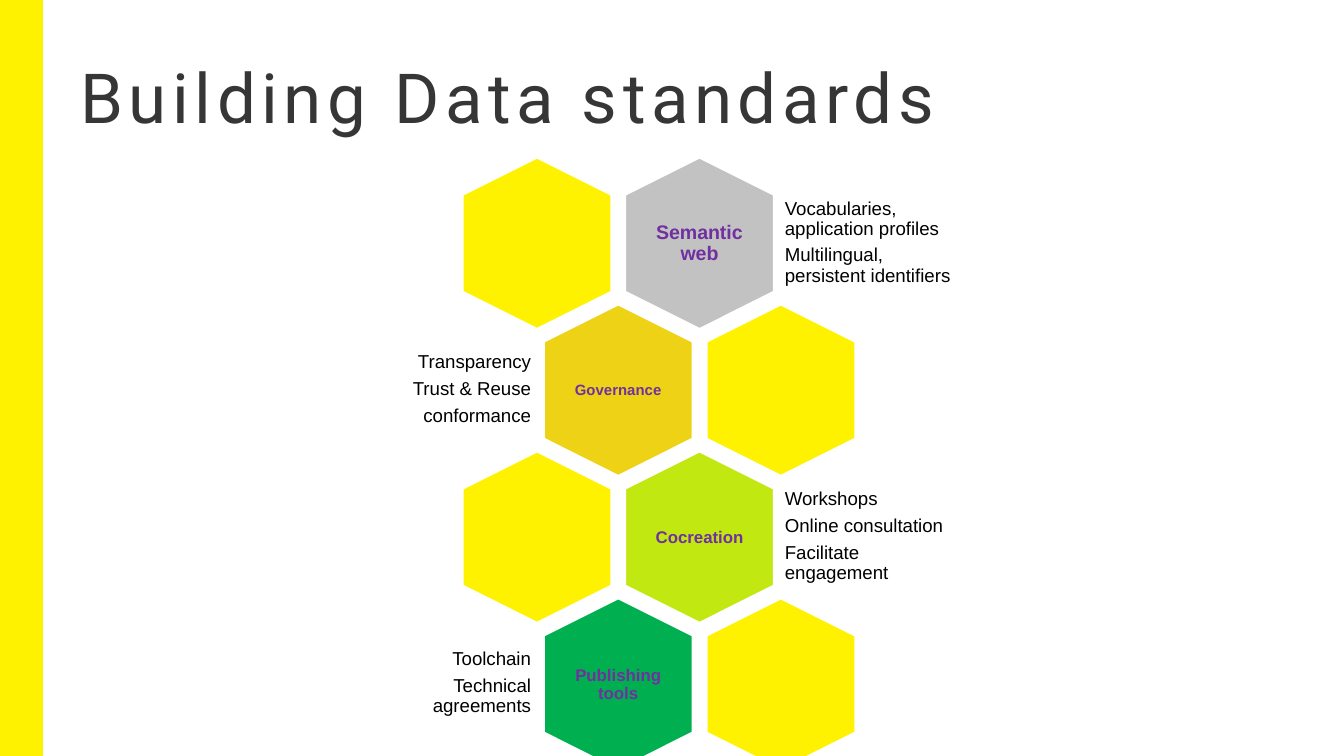
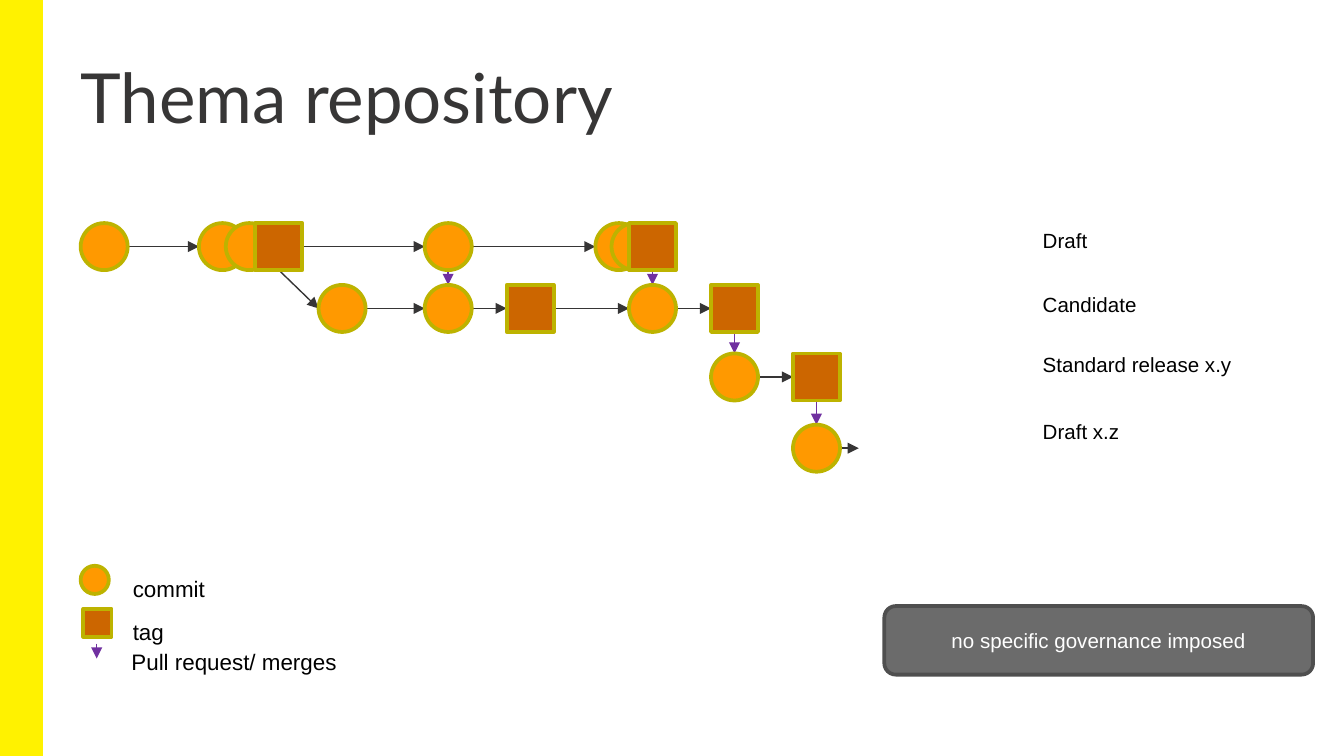
from lxml import etree
from pptx import Presentation
from pptx.dml.color import RGBColor
from pptx.enum.shapes import MSO_CONNECTOR, MSO_SHAPE
from pptx.enum.text import MSO_ANCHOR, PP_ALIGN
from pptx.oxml.ns import qn
from pptx.util import Inches, Pt

RECT, ROUND = MSO_SHAPE.RECTANGLE, MSO_SHAPE.ROUNDED_RECTANGLE
OVAL, HEXAGON = MSO_SHAPE.OVAL, MSO_SHAPE.HEXAGON
LEFT, CENTER, RIGHT = PP_ALIGN.LEFT, PP_ALIGN.CENTER, PP_ALIGN.RIGHT
TOP, MIDDLE = MSO_ANCHOR.TOP, MSO_ANCHOR.MIDDLE

WIDTH = 10
HEIGHT = WIDTH * 9 / 16
YELLOW, WHITE, BLACK, INK = "FFF200", "FFFFFF", "000000", "363535"
TITLE_COLOR, PURPLE, OUTLINE = "373636", "7030A0", "BDB300"
COMMIT, TAG = (OVAL, "FF9900"), (RECT, "CC6600")

PILLARS = [
    ("Semantic web", 10.5, "C2C2C2",
     ["Vocabularies, application profiles", "Multilingual, persistent identifiers"]),
    ("Governance", 8, "EED216",
     ["Transparency", "Trust & Reuse", "conformance"]),
    ("Cocreation", 9, "C2E812",
     ["Workshops", "Online consultation", "Facilitate engagement"]),
    ("Publishing tools", 9, "00B050",
     ["Toolchain", "Technical agreements"]),
]
HEX_LONG, HEX_SHORT = 1.29, 1.12
HEX_LEFT, HEX_TOP, HEX_LAST_TOP = 3.35, 1.25, 4.53
HEX_STEP = 1.21
ROW_STEP = (HEX_LAST_TOP - HEX_TOP) / (len(PILLARS) - 1)

LANES = [
    ("Draft", 1.66, 1.65),
    ("Candidate", 2.12, 2.12),
    ("Standard release x.y", 2.63, 2.57),
    ("Draft x.z", 3.16, 3.07),
]
NODE = 0.35
NODES = {
    "start": (COMMIT, 0.6, 0),
    "edit": (COMMIT, 1.48, 0),
    "second edit": (COMMIT, 1.68, 0),
    "draft tag": (TAG, 1.9, 0),
    "candidate": (COMMIT, 2.37, 1),
    "fix": (COMMIT, 3.16, 0),
    "merged fix": (COMMIT, 3.16, 1),
    "candidate tag": (TAG, 3.77, 1),
    "late edit": (COMMIT, 4.43, 0),
    "last edit": (COMMIT, 4.55, 0),
    "late tag": (TAG, 4.68, 0),
    "merged late": (COMMIT, 4.68, 1),
    "final tag": (TAG, 5.29, 1),
    "release": (COMMIT, 5.29, 2),
    "release tag": (TAG, 5.9, 2),
    "next draft": (COMMIT, 5.9, 3),
}
STEPS = [
    ("start", "edit"), ("draft tag", "fix"), ("candidate", "merged fix"),
    ("merged fix", "candidate tag"), ("fix", "late edit"),
    ("candidate tag", "merged late"), ("merged late", "final tag"),
    ("release", "release tag"),
]
MERGES = [
    ("fix", "merged fix"), ("late tag", "merged late"),
    ("final tag", "release"), ("release tag", "next draft"),
]
LEGEND = [
    ("commit", 0.89, 4.23, 0.74),
    ("tag", 0.89, 4.55, 0.44),
    ("Pull request/ merges", 0.88, 4.77, 1.74),
]


def color(value):
    return RGBColor.from_string(value)


def add_block(slide, kind, box, fill, line, weight):
    block = slide.shapes.add_shape(kind, *map(Inches, box))
    block.shadow.inherit = False
    block.fill.solid()
    block.fill.fore_color.rgb = color(fill)
    block.line.color.rgb = color(line)
    block.line.width = Pt(weight)
    return block


def write(holder, lines, size, ink=BLACK, face="Arial", align=LEFT, anchor=TOP,
          bold=False, inset=None, spacing=None, after=0, wrap=True):
    frame = holder.text_frame
    frame.word_wrap = wrap
    frame.vertical_anchor = anchor
    if inset is not None:
        frame.margin_left = frame.margin_right = Inches(inset)
        frame.margin_top = frame.margin_bottom = Inches(inset)
    for index, line in enumerate(lines):
        paragraph = frame.add_paragraph() if index else frame.paragraphs[0]
        paragraph.text = line
        paragraph.alignment = align
        paragraph.space_after = Pt(after)
        if spacing:
            paragraph.line_spacing = spacing
        paragraph.font.name = face
        paragraph.font.size = Pt(size)
        paragraph.font.bold = bold
        paragraph.font.color.rgb = color(ink)
    return frame


def add_text(slide, box, lines, size, **style):
    return write(slide.shapes.add_textbox(*map(Inches, box)), lines, size, **style)


def add_arrow(slide, start, end, ink=INK):
    arrow = slide.shapes.add_connector(MSO_CONNECTOR.STRAIGHT, *map(Inches, start + end))
    arrow.line.color.rgb = color(ink)
    arrow.line.width = Pt(0.75)
    etree.SubElement(arrow.line._get_or_add_ln(), qn("a:tailEnd"), type="triangle")
    etree.SubElement(arrow._element.spPr, qn("a:effectLst"))


def start_slide(deck, title, face, tracking=0):
    slide = deck.slides.add_slide(deck.slide_layouts[6])
    add_block(slide, RECT, (0, 0, 0.31, HEIGHT), YELLOW, YELLOW, 1)
    frame = add_text(slide, (0.5, 0.29, 8.11, 0.92), [title], 37, ink=TITLE_COLOR,
                     face=face, inset=0.1, spacing=1.03)
    if tracking:
        frame.paragraphs[0].runs[0].font._element.set("spc", str(tracking * 100))
    return slide


def add_hexagon(slide, left, top, fill):
    cell = add_block(slide, HEXAGON, (left, top, HEX_LONG, HEX_SHORT), fill, WHITE, 2)
    cell.adjustments[0] = 0.25
    cell.rotation = 90


def build_standards(deck):
    slide = start_slide(deck, "Building Data standards", "Roboto", 3)
    for row, (label, size, fill, notes) in enumerate(PILLARS):
        shifted = row % 2
        top = HEX_TOP + row * ROW_STEP
        lefts = [HEX_LEFT + (column + shifted / 2) * HEX_STEP for column in range(2)]
        named, plain = lefts if shifted else lefts[::-1]
        add_hexagon(slide, named, top, fill)
        add_text(slide, (named + 0.26, top + 0.12, 0.77, 0.89), [label], size,
                 ink=PURPLE, align=CENTER, anchor=MIDDLE, bold=True,
                 inset=0.04, spacing=0.9)
        left, width, align = (2.6, 1.39, RIGHT) if shifted else (5.8, 1.44, LEFT)
        add_text(slide, (left, top + 0.17, width, 0.77), notes, 10, align=align,
                 anchor=MIDDLE, inset=0.04, spacing=0.9, after=3.5)
        add_hexagon(slide, plain, top, YELLOW)


def build_repository(deck):
    slide = start_slide(deck, "Thema repository", "Lato")

    def site(name, across, down):
        _, left, lane = NODES[name]
        return left + across * NODE, LANES[lane][1] + down * NODE

    for source, target in STEPS:
        add_arrow(slide, site(source, 1, 0.5), site(target, 0, 0.5))
    add_arrow(slide, site("draft tag", 0.5, 1), site("candidate", 0, 0.5))
    exit_x, exit_y = site("next draft", 1, 0.5)
    add_arrow(slide, (exit_x, exit_y), (exit_x + 0.14, exit_y))
    for source, target in MERGES:
        add_arrow(slide, site(source, 0.5, 1), site(target, 0.5, 0), PURPLE)

    for name, ((kind, fill), _, _) in NODES.items():
        add_block(slide, kind, site(name, 0, 0) + (NODE, NODE), fill, OUTLINE, 2)
    for label, _, top in LANES:
        add_text(slide, (7.66, top, 1.85, 0.29), [label], 11)

    for (kind, fill), left, top in ((TAG, 0.62, 4.53), (COMMIT, 0.6, 4.21)):
        add_block(slide, kind, (left, top, 0.21, 0.21), fill, OUTLINE, 2)
    add_arrow(slide, (0.72, 4.79), (0.72, 4.9), PURPLE)
    for label, left, top, width in LEGEND:
        add_text(slide, (left, top, width, 0.3), [label], 12, wrap=False)

    remark = add_block(slide, ROUND, (6.58, 4.51, 3.19, 0.51), "6B6B6B", "4F4F4F", 2)
    write(remark, ["no specific governance imposed"], 11, ink=WHITE,
          align=CENTER, anchor=MIDDLE)


def main():
    deck = Presentation()
    deck.slide_width, deck.slide_height = Inches(WIDTH), Inches(HEIGHT)
    build_standards(deck)
    build_repository(deck)
    deck.save("out.pptx")


if __name__ == "__main__":
    main()
